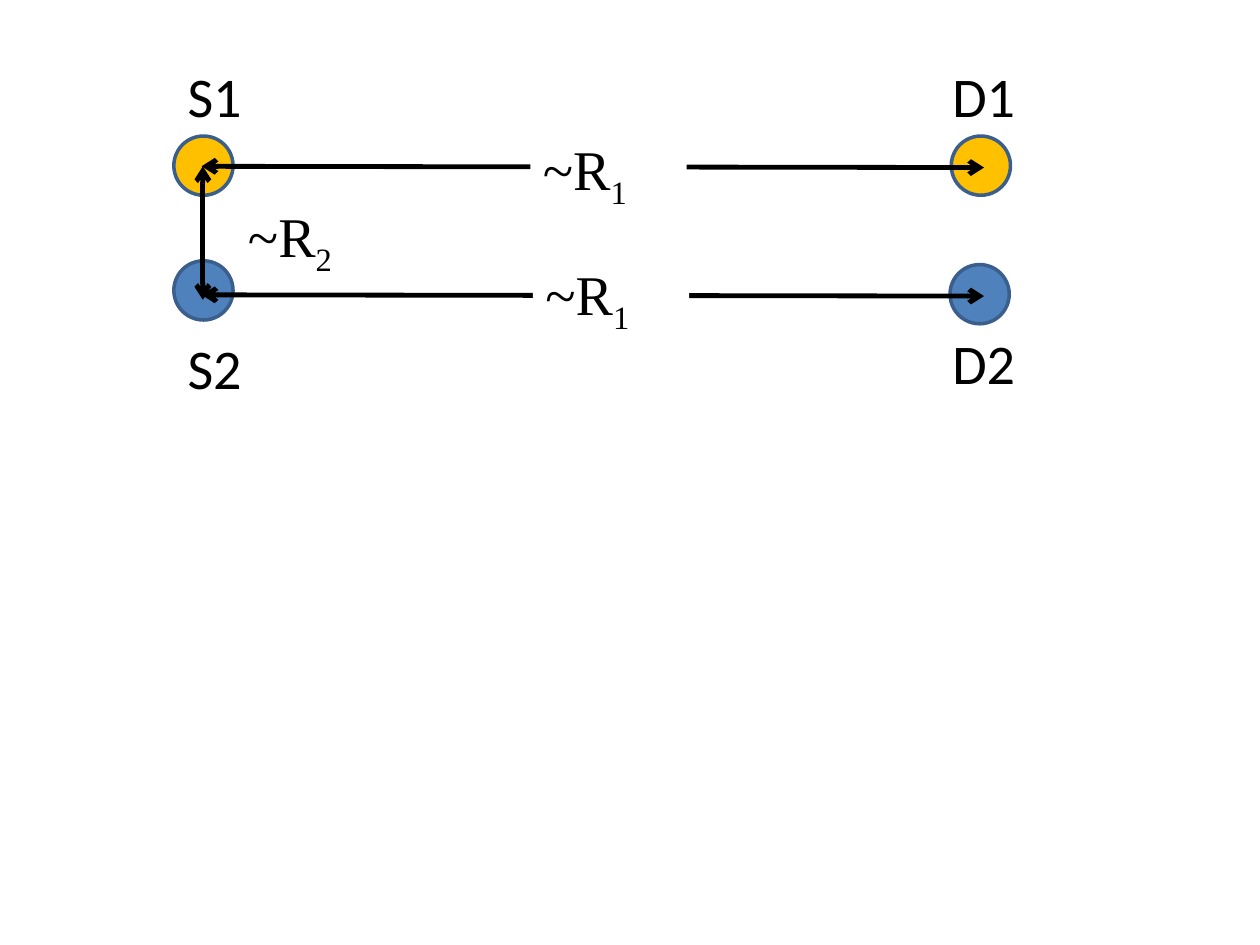
from lxml import etree
from pptx import Presentation
from pptx.dml.color import RGBColor
from pptx.enum.shapes import MSO_CONNECTOR, MSO_SHAPE
from pptx.enum.text import MSO_ANCHOR, MSO_AUTO_SIZE, PP_ALIGN
from pptx.oxml.ns import qn
from pptx.util import Inches, Pt

OVAL, RECTANGLE = MSO_SHAPE.OVAL, MSO_SHAPE.RECTANGLE
STRAIGHT = MSO_CONNECTOR.STRAIGHT
TOP, LEFT = MSO_ANCHOR.TOP, PP_ALIGN.LEFT
GROW = MSO_AUTO_SIZE.SHAPE_TO_FIT_TEXT

COLORS = {
    "gold": "FFC000",
    "blue": "4F81BD",
    "outline": "3A5F8C",
    "text": "000000",
    "label": "FFFFFF",
}
NODE_SIZE = 0.47
NAME_SIZE = (0.93, 0.64)
LABEL_SIZE = (1.24, 0.64)
FONT_SIZE = 32

NODES = [
    ("D2", "blue", (7.54, 2.1), (7.46, 2.56)),
    ("S2", "blue", (1.38, 2.07), (1.39, 2.6)),
    ("D1", "gold", (7.55, 1.08), (7.46, 0.44)),
    ("S1", "gold", (1.38, 1.08), (1.39, 0.44)),
]
ARROWS = [
    ((1.6, 1.32), (7.81, 1.33)),
    ((1.61, 1.32), (1.61, 2.38)),
    ((1.6, 2.34), (7.81, 2.35)),
]
SOURCE_DISTANCE = ("2", (1.87, 1.55))
LINK_DISTANCES = [("1", (4.21, 1.02)), ("1", (4.23, 2.01))]


def color(name):
    return RGBColor.from_string(COLORS[name])


def box(position, size):
    return [Inches(value) for value in (*position, *size)]


def write_runs(shape, texts, font_name):
    frame = shape.text_frame
    frame.word_wrap = True
    frame.auto_size = GROW
    frame.vertical_anchor = TOP
    paragraph = frame.paragraphs[0]
    paragraph.alignment = LEFT
    for text in texts:
        run = paragraph.add_run()
        run.text = text
        run.font.name = font_name
        run.font.size = Pt(FONT_SIZE)
        run.font.color.rgb = color("text")
    return paragraph


def add_filled(slide, kind, position, size, fill):
    shape = slide.shapes.add_shape(kind, *box(position, size))
    shape.shadow.inherit = False
    shape.fill.solid()
    shape.fill.fore_color.rgb = color(fill)
    return shape


def add_node(slide, fill, position):
    node = add_filled(slide, OVAL, position, (NODE_SIZE, NODE_SIZE), fill)
    node.line.color.rgb = color("outline")
    node.line.width = Pt(2)


def add_name(slide, text, position):
    name = slide.shapes.add_textbox(*box(position, NAME_SIZE))
    write_runs(name, [text], "Calibri")


def add_distance(slide, index, position):
    label = add_filled(slide, RECTANGLE, position, LABEL_SIZE, "label")
    label.line.fill.background()
    paragraph = write_runs(label, ["~R", index], "Times New Roman")
    paragraph.runs[1].font._element.set("baseline", "-25000")


def add_arrow(slide, start, end):
    points = [Inches(value) for value in (*start, *end)]
    arrow = slide.shapes.add_connector(STRAIGHT, *points)
    arrow.line.color.rgb = color("text")
    arrow.line.width = Pt(2.75)
    properties = arrow._element.spPr
    line = properties.find(qn("a:ln"))
    for end_name in ("a:headEnd", "a:tailEnd"):
        etree.SubElement(line, qn(end_name), type="arrow")
    etree.SubElement(properties, qn("a:effectLst"))


def main():
    presentation = Presentation()
    presentation.slide_width = Inches(10)
    presentation.slide_height = Inches(7.5)
    slide = presentation.slides.add_slide(presentation.slide_layouts[6])

    add_distance(slide, *SOURCE_DISTANCE)
    for name, fill, node_position, name_position in NODES:
        add_node(slide, fill, node_position)
        add_name(slide, name, name_position)
    for start, end in ARROWS:
        add_arrow(slide, start, end)
    for index, position in LINK_DISTANCES:
        add_distance(slide, index, position)

    presentation.save("out.pptx")


if __name__ == "__main__":
    main()
